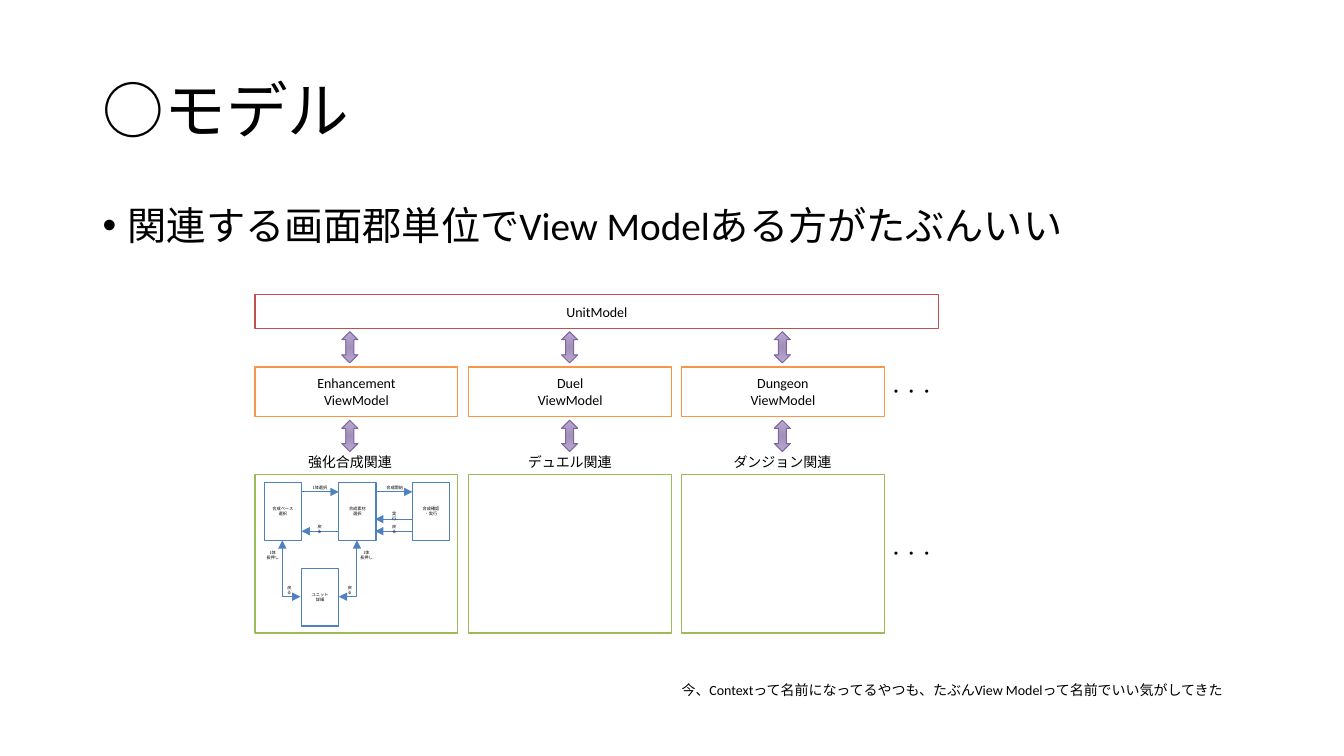
from pptx import Presentation
from pptx.enum import shapes as sh, text as tx
from pptx.dml.color import RGBColor
from pptx.oxml import parse_xml
from pptx.oxml import ns
from pptx.util import Inches, Pt

C = {"text": "000000", "white": "FFFFFF", "model": "C0504D", "view_model": "F79646",
     "area": "9BBB59", "flow": "4F81BD", "arrow": "8064A2",
     "arrow_dark": "A08FB6", "arrow_light": "BDADD6"}
CENTER = tx.PP_ALIGN.CENTER
GROUP_W = 2.01
SCREEN_W, SCREEN_H = 0.37, 0.57

# left edge, arrow left, view model name, area label, label left and width
COLUMNS = [(2.53, 3.39, "Enhancement", "強化合成関連", 3.01, 0.92),
           (4.65, 5.57, "Duel", "デュエル関連", 5.19, 0.92),
           (6.76, 7.68, "Dungeon", "ダンジョン関連", 7.23, 1.06)]
SCREENS = {"base": (2.62, 4.79, "合成ベース\n選択"), "material": (3.36, 4.79, "合成素材\n選択"),
           "detail": (2.99, 5.64, "ユニット\n詳細"), "confirm": (4.09, 4.79, "合成確認\n・実行")}
# start x, end x, y
FLOWS = [(2.99, 3.36, 4.88), (3.36, 2.99, 5.27), (3.72, 4.09, 4.88),
         (4.09, 3.72, 5.27), (4.09, 3.72, 5.15)]
FLOW_LABELS = [(3.06, 4.79, 0.23, "1体選択"), (3.09, 5.18, 0.16, "戻る"),
               (2.6, 5.42, 0.21, "1体\n長押し"), (3.53, 5.42, 0.21, "1体\n長押し"),
               (2.79, 5.78, 0.16, "戻る"), (3.39, 5.78, 0.16, "戻る"),
               (3.79, 4.79, 0.25, "合成開始"), (3.83, 5.05, 0.16, "実行"),
               (3.83, 5.18, 0.16, "戻る")]


def rgb(name):
    return RGBColor.from_string(C[name])


def write(tf, content, size=10, align=None, anchor=None, inset=0.04, wrap=True, spacing=None):
    """Fill a text frame: \\n starts a paragraph, \\v breaks a line."""
    tf.word_wrap = wrap
    if anchor is not None:
        tf.vertical_anchor = anchor
    if inset is not None:
        tf.margin_left = tf.margin_right = tf.margin_top = tf.margin_bottom = Inches(inset)
    tf.text = content
    for p in tf.paragraphs:
        p.alignment, p.line_spacing = align, spacing
        for r in p.runs:
            r.font.size, r.font.name = Pt(size), "Calibri"
            r.font.color.rgb = rgb("text")


def label(shapes, x, y, w, h, content, wrap=False, **fmt):
    sp = shapes.add_textbox(Inches(x), Inches(y), Inches(w), Inches(h))
    write(sp.text_frame, content, wrap=wrap, **fmt)
    return sp


def box(shapes, x, y, w, h, line, content="", **fmt):
    sp = shapes.add_shape(sh.MSO_SHAPE.RECTANGLE, Inches(x), Inches(y), Inches(w), Inches(h))
    sp.shadow.inherit = False
    sp.fill.solid()
    sp.fill.fore_color.rgb = rgb("white")
    sp.line.color.rgb, sp.line.width = rgb(line), Pt(0.85)
    if content:
        write(sp.text_frame, content, align=CENTER, anchor=tx.MSO_ANCHOR.MIDDLE, **fmt)
    return sp


def double_arrow(shapes, x, y):
    sp = shapes.add_shape(sh.MSO_SHAPE.UP_DOWN_ARROW, Inches(x), Inches(y),
                          Inches(0.16), Inches(0.31))
    sp.shadow.inherit = False
    stops = "".join(f'<a:gs pos="{pos}"><a:srgbClr val="{C[name]}"/></a:gs>'
                    for pos, name in ((0, "arrow_dark"), (100000, "arrow_light")))
    fill = parse_xml(f'<a:gradFill {ns.nsdecls("a")}><a:gsLst>{stops}</a:gsLst><a:path path="circle">'
                     '<a:fillToRect l="100000" t="100000" r="100000" b="100000"/></a:path></a:gradFill>')
    sp._element.spPr.find(ns.qn("a:prstGeom")).addnext(fill)
    sp.line.color.rgb, sp.line.width = rgb("arrow"), Pt(0.75)


def connector(shapes, kind, x1, y1, x2, y2, ends=("tailEnd",)):
    c = shapes.add_connector(kind, Inches(x1), Inches(y1), Inches(x2), Inches(y2))
    c.line.color.rgb, c.line.width = rgb("flow"), Pt(0.75)
    ln = c.line._get_or_add_ln()
    for end in ends:
        ln.append(parse_xml(f'<a:{end} {ns.nsdecls("a")} type="triangle"/>'))
    c._element.spPr.append(parse_xml(f'<a:effectLst {ns.nsdecls("a")}/>'))
    return c


def corner_arrow(shapes, start, end, side, x, rot, flip):
    """One-bend arrow from the bottom of start to a side of end."""
    c = connector(shapes, sh.MSO_CONNECTOR.ELBOW, x, 5.55, x + 0.56, 5.73, ("headEnd", "tailEnd"))
    c.begin_connect(start, 2)
    c.end_connect(end, side)
    # The frame is stored unrotated
    c.left, c.top, c.width, c.height = (Inches(v) for v in (x, 5.55, 0.56, 0.18))
    spPr = c._element.spPr
    xfrm = spPr.find(ns.qn("a:xfrm"))
    for key, value in (("rot", rot * 60000), ("flipH", flip), ("flipV", 0)):
        xfrm.set(key, str(value))
    spPr.find(ns.qn("a:prstGeom")).set("prst", "bentConnector2")


def heading(s):
    title = s.shapes.title
    title.left, title.top, title.width, title.height = (Inches(v) for v in (0.92, 0.4, 11.5, 1.45))
    write(title.text_frame, "○モデル", size=44, align=tx.PP_ALIGN.LEFT,
          anchor=tx.MSO_ANCHOR.MIDDLE, inset=None, spacing=0.9)
    body = label(s.shapes, 0.92, 2, 11.5, 4.76, "関連する画面郡単位でView Modelある方がたぶんいい",
                 size=28, wrap=True, inset=None, spacing=0.9)
    p = body.text_frame.paragraphs[0]
    p.space_before = Pt(10)
    pPr = p._p.get_or_add_pPr()
    pPr.set("marL", str(Inches(0.25)))
    pPr.set("indent", str(Inches(-0.25)))
    pPr.append(parse_xml(f'<a:buFont {ns.nsdecls("a")} typeface="Arial"/>'))
    pPr.append(parse_xml(f'<a:buChar {ns.nsdecls("a")} char="•"/>'))


def screen_flow(shapes):
    screens = {name: box(shapes, x, y, SCREEN_W, SCREEN_H, "flow", content, size=3)
               for name, (x, y, content) in SCREENS.items()}
    for x1, x2, y in FLOWS:
        connector(shapes, sh.MSO_CONNECTOR.STRAIGHT, x1, y, x2, y)
    corner_arrow(shapes, screens["base"], screens["detail"], 1, 2.61, 270, 1)
    corner_arrow(shapes, screens["material"], screens["detail"], 3, 3.17, 90, 0)
    for x, y, w, content in FLOW_LABELS:
        h = 0.18 if "\n" in content else 0.13
        label(shapes, x, y, w, h, content, size=3, align=CENTER)


def main():
    prs = Presentation()
    prs.slide_width, prs.slide_height = Inches(13.33), Inches(7.5)
    s = prs.slides.add_slide(prs.slide_layouts[5])
    heading(s)

    # Model layer
    box(s.shapes, 2.53, 2.92, 6.78, 0.34, "model", "UnitModel")

    # View models and their screen areas
    for x, arrow_x, name, area, label_x, label_w in COLUMNS:
        box(s.shapes, x, 4.71, GROUP_W, 1.57, "area")
        label(s.shapes, label_x, 4.46, label_w, 0.25, area, align=CENTER)
        box(s.shapes, x, 3.64, GROUP_W, 0.49, "view_model", f"{name}\vViewModel")
        for y in (3.29, 4.17):
            double_arrow(s.shapes, arrow_x, y)
    for y in (3.75, 5.36):
        label(s.shapes, 8.77, y, 0.54, 0.26, "・・・", size=11)

    # Screens of the first area
    screen_flow(s.shapes.add_group_shape().shapes)

    # Remark
    label(s.shapes, 6.72, 6.72, 5.7, 0.25,
          "今、Contextって名前になってるやつも、たぶんView Modelって名前でいい気がしてきた")
    prs.save("out.pptx")


if __name__ == "__main__":
    main()
